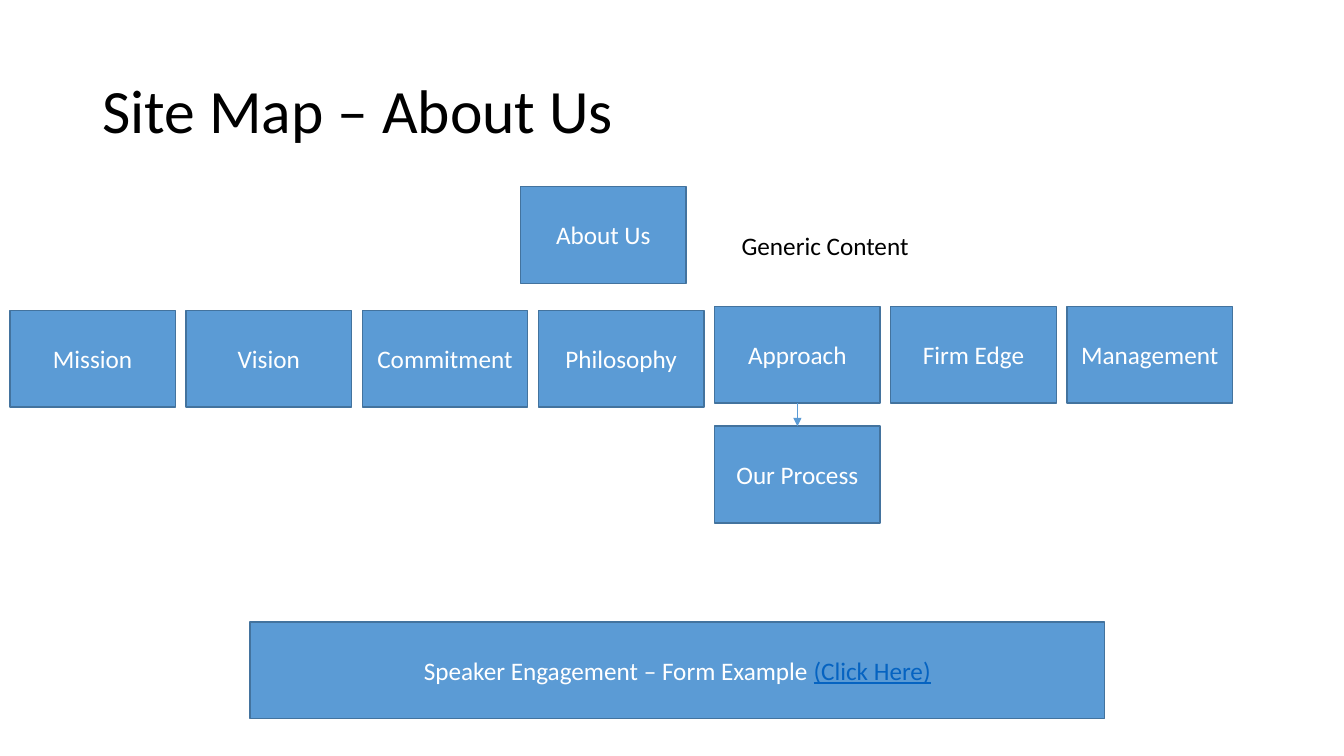
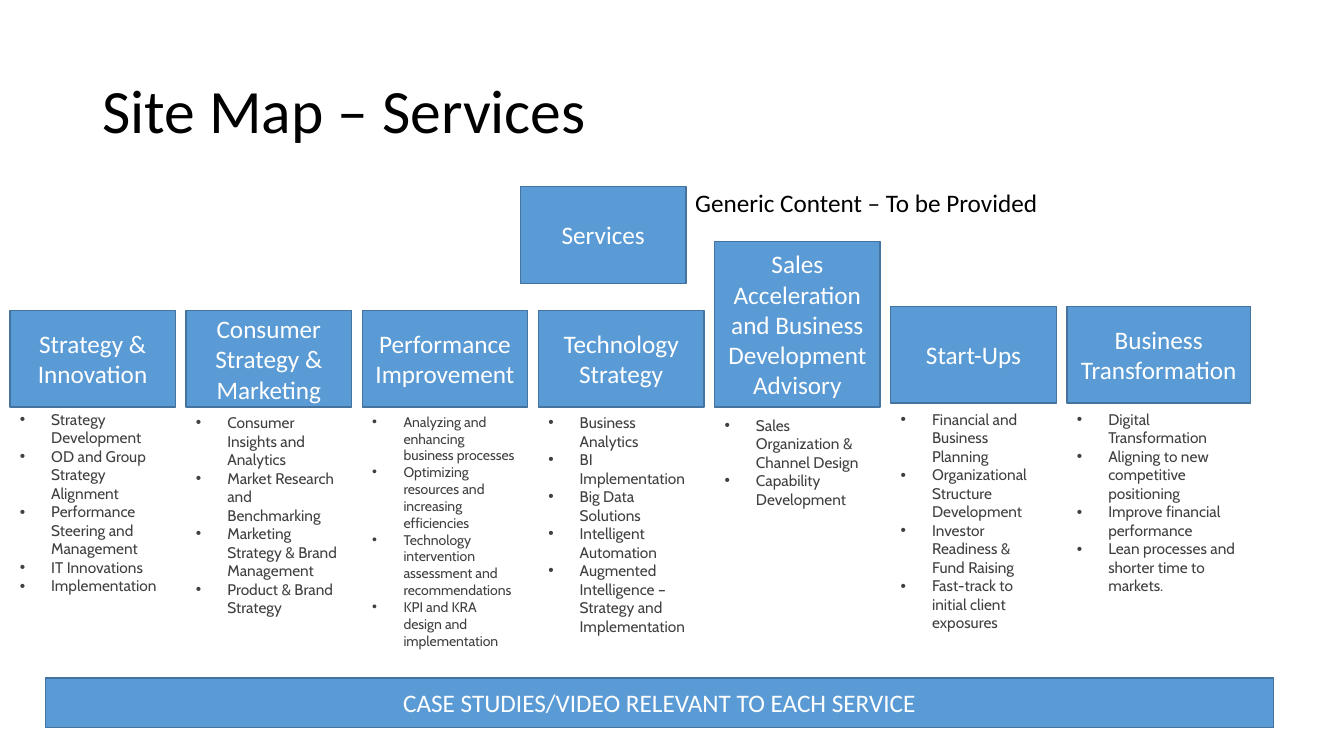
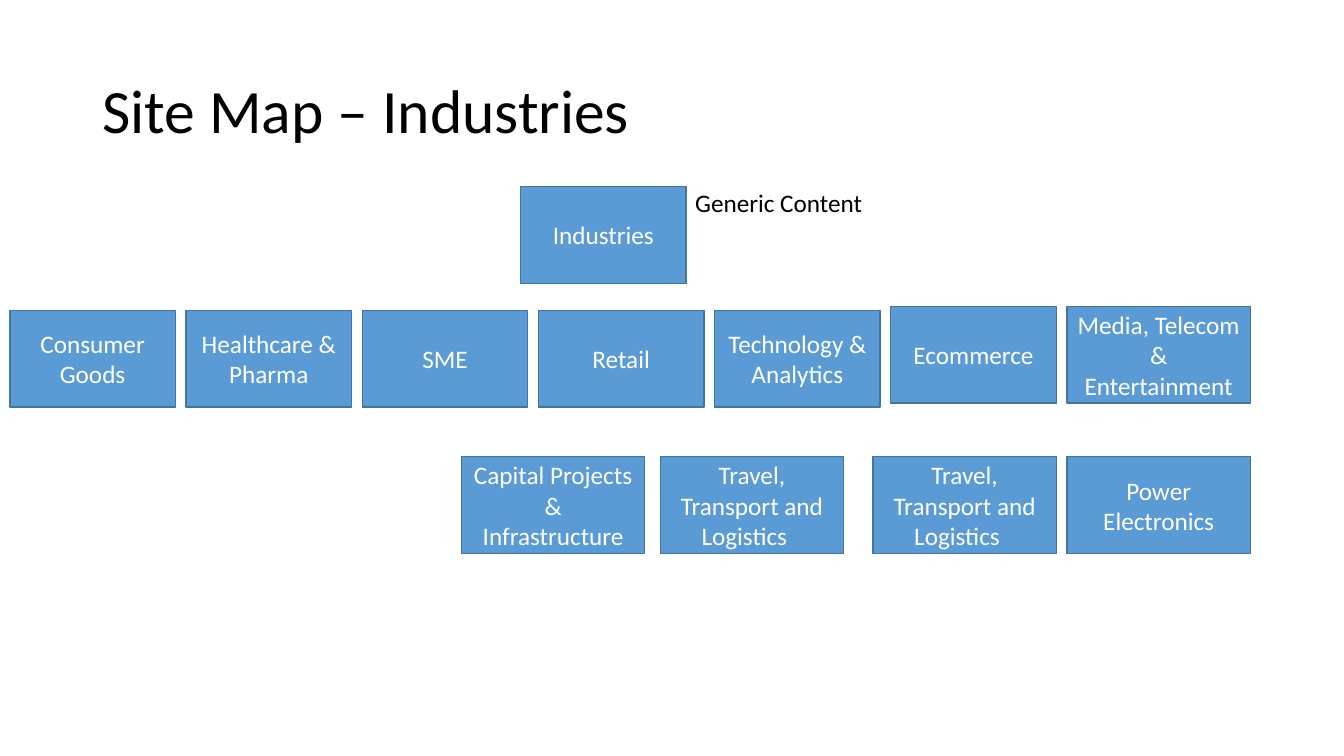
from dataclasses import dataclass

from lxml.etree import SubElement
from pptx import Presentation
from pptx.dml.color import RGBColor
from pptx.enum.shapes import MSO_CONNECTOR, MSO_SHAPE
from pptx.enum.text import MSO_ANCHOR, MSO_AUTO_SIZE, PP_ALIGN
from pptx.oxml.ns import qn
from pptx.slide import Slide
from pptx.text.text import TextFrame, _Paragraph
from pptx.util import Cm, Pt

BLUE, EDGE = "5B9BD5", "43739E"
WHITE, BLACK, GREY, LINK = "FFFFFF", "000000", "404040", "0563C1"
HEAD_FONT, LIST_FONT = "Calibri", "Cabin"

COL_LEFT, COL_STEP = 0.25, 4.44
BOX_W, WIDE_W, BOX_H = 4.17, 4.62, 2.44
LOW, HIGH = 7.82, 7.72
INDENT = 0.79


@dataclass
class Box:
    """A labelled blue rectangle; lengths in cm."""
    label: str
    left: float
    top: float
    width: float = BOX_W
    height: float = BOX_H
    link: str = ""


@dataclass
class Topics:
    """A bulleted list under a column; lengths in cm."""
    column: int
    top: float
    height: float
    items: list[str]
    width: float = BOX_W
    size: int = 11


def rgb(value: str) -> RGBColor:
    """Turn a hex string into a colour."""
    return RGBColor.from_string(value)


def column_left(column: int) -> float:
    """Left edge of a column in cm."""
    return round(COL_LEFT + column * COL_STEP, 2)


def add_run(p: _Paragraph, text: str, size: int, color: str,
            font: str = HEAD_FONT, underline: bool = False) -> None:
    """Append one formatted run."""
    r = p.add_run()
    r.text = text
    r.font.size = Pt(size)
    r.font.name = font
    r.font.color.rgb = rgb(color)
    if underline:
        r.font.underline = True


def add_text_box(s: Slide, left: float, top: float, width: float,
                 height: float) -> TextFrame:
    """Add a wrapping text box and return its frame."""
    tf = s.shapes.add_textbox(Cm(left), Cm(top), Cm(width), Cm(height)).text_frame
    tf.word_wrap = True
    return tf


def add_box(s: Slide, box: Box) -> None:
    """Draw a blue rectangle with a centred label."""
    sp = s.shapes.add_shape(MSO_SHAPE.RECTANGLE, Cm(box.left), Cm(box.top),
                            Cm(box.width), Cm(box.height))
    sp.shadow.inherit = False
    sp.fill.solid()
    sp.fill.fore_color.rgb = rgb(BLUE)
    sp.line.color.rgb = rgb(EDGE)
    sp.line.width = Pt(1)
    tf = sp.text_frame
    tf.word_wrap = True
    tf.vertical_anchor = MSO_ANCHOR.MIDDLE
    p = tf.paragraphs[0]
    p.alignment = PP_ALIGN.CENTER
    add_run(p, box.label, 18, WHITE)
    if box.link:
        add_run(p, box.link, 18, LINK, underline=True)


def add_topics(s: Slide, topics: Topics) -> None:
    """Draw a bulleted list."""
    tf = add_text_box(s, column_left(topics.column), topics.top, topics.width, topics.height)
    tf.auto_size = MSO_AUTO_SIZE.SHAPE_TO_FIT_TEXT
    for i, item in enumerate(topics.items):
        p = tf.add_paragraph() if i else tf.paragraphs[0]
        props = p._p.get_or_add_pPr()
        props.set("marL", str(Cm(INDENT)))
        props.set("indent", str(-Cm(INDENT)))
        SubElement(props, qn("a:buFont"), typeface="Arial")
        SubElement(props, qn("a:buChar"), char="•")
        add_run(p, item, topics.size, GREY, LIST_FONT)


def add_note(s: Slide, text: str, left: float, top: float, width: float) -> None:
    """Draw the remark beside the root box."""
    tf = add_text_box(s, left, top, width, 1.03)
    tf.auto_size = MSO_AUTO_SIZE.SHAPE_TO_FIT_TEXT
    add_run(tf.paragraphs[0], text, 18, BLACK)


def add_arrow(s: Slide, x: float, top: float, bottom: float) -> None:
    """Draw a thin downward arrow."""
    line = s.shapes.add_connector(MSO_CONNECTOR.STRAIGHT, Cm(x), Cm(top), Cm(x), Cm(bottom))
    line.line.color.rgb = rgb(BLUE)
    line.line.width = Pt(0.5)
    SubElement(line.line._get_or_add_ln(), qn("a:tailEnd"), type="triangle")
    SubElement(line._element.spPr, qn("a:effectLst"))


def add_site_map(prs: Presentation, name: str, boxes: list[Box]) -> Slide:
    """Add a slide with its title, root box and further boxes."""
    s = prs.slides.add_slide(prs.slide_layouts[6])
    tf = add_text_box(s, 2.33, 1.01, 29.21, 3.68)
    tf.vertical_anchor = MSO_ANCHOR.MIDDLE
    p = tf.paragraphs[0]
    p.line_spacing = 0.9
    add_run(p, f"Site Map – {name}", 44, BLACK)
    for box in [Box(name, 13.12, 4.7), *boxes]:
        add_box(s, box)
    return s


def row(labels: list[str], low_count: int, last_width: float = BOX_W) -> list[Box]:
    """Lay labels out in columns; the first low_count sit slightly lower."""
    boxes = [Box(label, column_left(i), LOW if i < low_count else HIGH)
             for i, label in enumerate(labels)]
    boxes[-1].width = last_width
    return boxes


def build_about(prs: Presentation) -> None:
    """Build the About Us slide."""
    boxes = row(["Mission", "Vision", "Commitment", "Philosophy", "Approach",
                 "Firm Edge", "Management"], 4)
    process = Box("Our Process", column_left(4), 10.74)
    form = Box("Speaker Engagement – Form Example ", 6.3, 15.67, 21.54, link="(Click Here)")
    s = add_site_map(prs, "About Us", [*boxes, process, form])
    add_note(s, "Generic Content", 18.44, 5.69, 5.18)
    add_arrow(s, process.left + BOX_W / 2, HIGH + BOX_H, process.top)


def build_services(prs: Presentation) -> None:
    """Build the Services slide."""
    boxes = row(["Strategy & Innovation", "Consumer Strategy & Marketing",
                 "Performance Improvement", "Technology Strategy",
                 "Sales Acceleration and Business Development Advisory",
                 "Start-Ups", "Business Transformation"], 5, WIDE_W)
    sales = boxes[4]
    sales.top, sales.height = 6.08, 4.18
    cases = Box("CASE STUDIES/VIDEO RELEVANT TO EACH SERVICE", 1.14, 17.09, 30.96, 1.24)
    s = add_site_map(prs, "Services", [*boxes, cases])
    add_note(s, "Generic Content – To be Provided", 17.27, 4.6, 11.2)
    for topics in [
        Topics(0, 10.21, 4.95, ["Strategy Development", "OD and Group Strategy Alignment",
                                "Performance Steering and Management", "IT Innovations",
                                "Implementation"]),
        Topics(1, 10.29, 5.89, ["Consumer Insights and Analytics",
                                "Market Research and Benchmarking",
                                "Marketing Strategy & Brand Management",
                                "Product & Brand Strategy"]),
        Topics(2, 10.29, 6.68, ["Analyzing and enhancing business processes",
                                "Optimizing resources and increasing efficiencies",
                                "Technology intervention assessment and recommendations",
                                "KPI and KRA design and implementation"], size=10),
        Topics(3, 10.29, 6.38, ["Business Analytics", "BI Implementation",
                                "Big Data Solutions", "Intelligent Automation",
                                "Augmented Intelligence – Strategy and Implementation"]),
        Topics(4, 10.35, 2.62, ["Sales Organization & Channel Design",
                                "Capability Development"]),
        Topics(5, 10.21, 5.89, ["Financial and Business Planning",
                                "Organizational Structure Development",
                                "Investor Readiness & Fund Raising",
                                "Fast-track to initial client exposures"]),
        Topics(6, 10.21, 4.95, ["Digital Transformation",
                                "Aligning to new competitive positioning",
                                "Improve financial performance",
                                "Lean processes and shorter time to markets."], WIDE_W),
    ]:
        add_topics(s, topics)


def build_industries(prs: Presentation) -> None:
    """Build the Industries slide."""
    boxes = row(["Consumer Goods", "Healthcare & Pharma", "SME", "Retail",
                 "Technology & Analytics", "Ecommerce",
                 "Media, Telecom & Entertainment"], 5, WIDE_W)
    travel = "Travel, Transport and Logistics\t"
    second_row = [Box(label, left, 11.51, WIDE_W) for label, left in [
        ("Capital Projects & Infrastructure", 11.63), (travel, 16.64),
        (travel, 22.0), ("Power Electronics", column_left(6))]]
    s = add_site_map(prs, "Industries", [*boxes, *second_row])
    add_note(s, "Generic Content", 17.27, 4.6, 5.18)


def main() -> None:
    """Build and save the presentation."""
    prs = Presentation()
    prs.slide_width, prs.slide_height = Cm(33.87), Cm(19.05)
    build_about(prs)
    build_services(prs)
    build_industries(prs)
    prs.save("out.pptx")


main()
